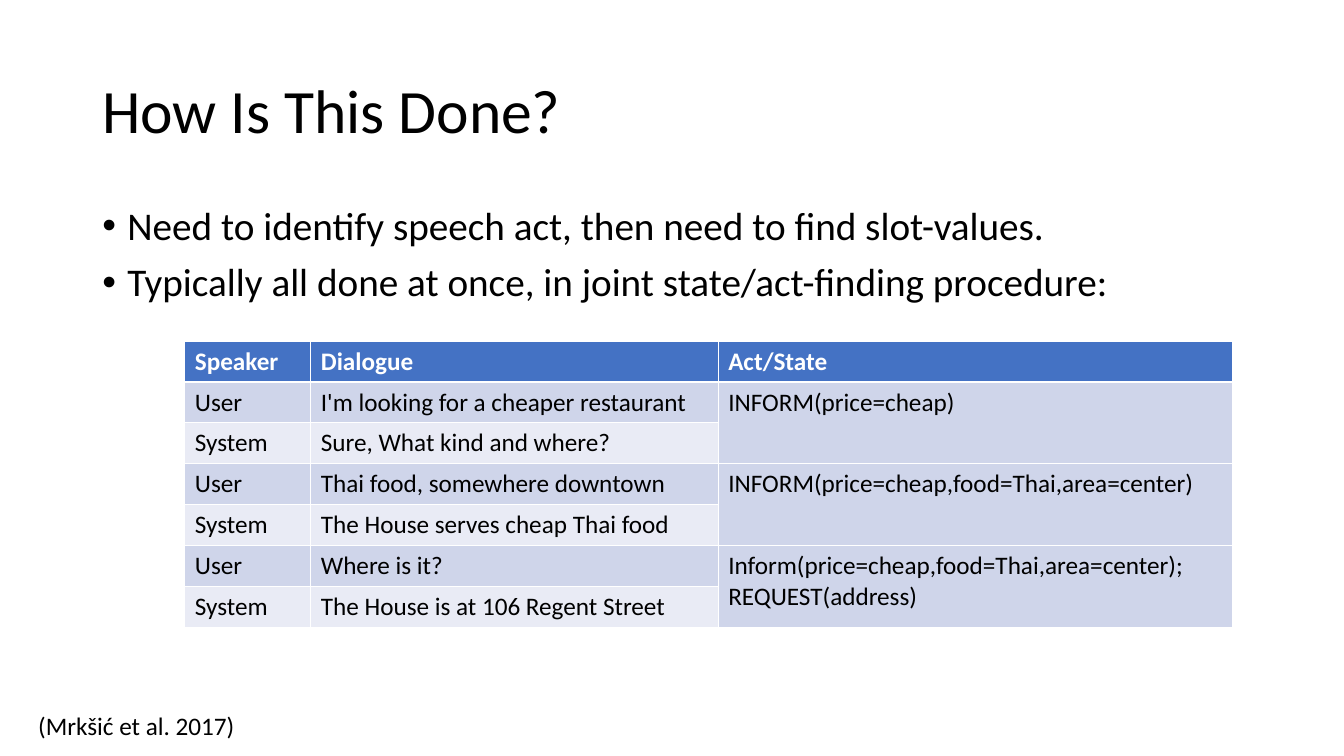
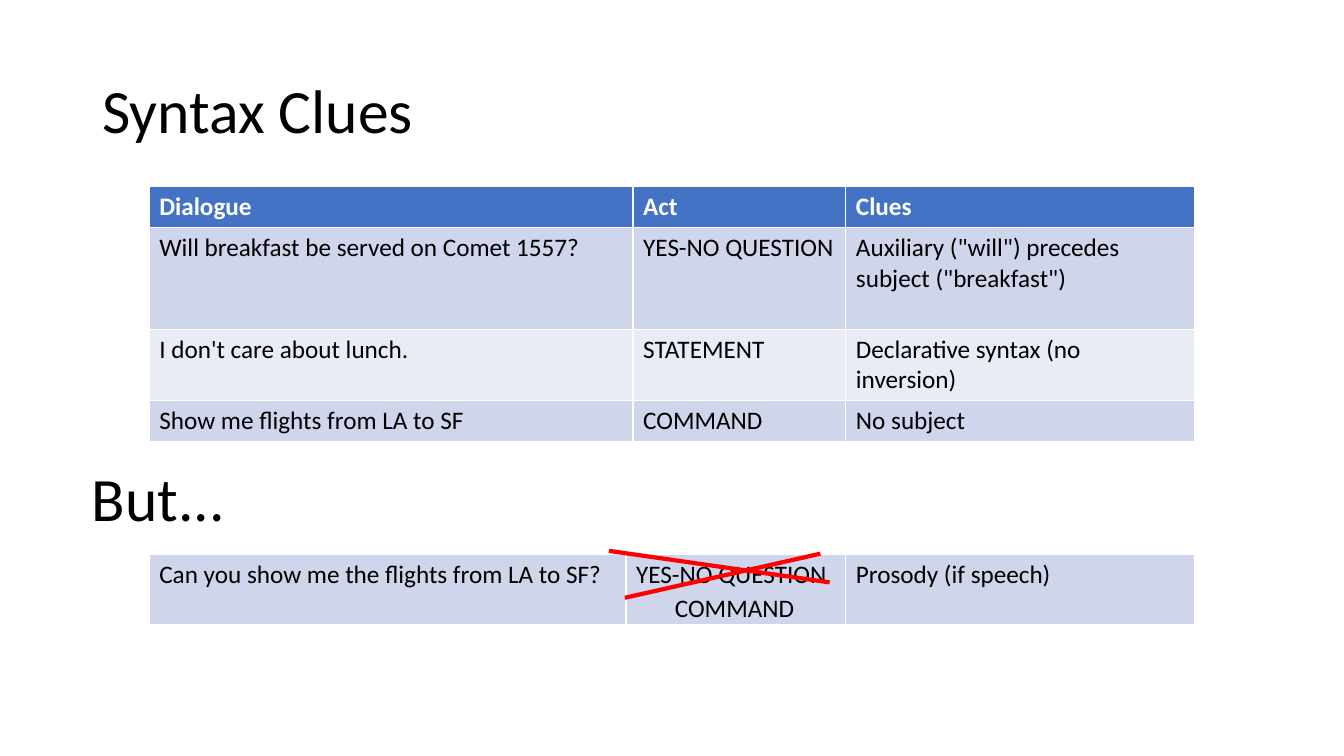
from lxml import etree
from pptx import Presentation
from pptx.dml.color import RGBColor
from pptx.enum.shapes import MSO_CONNECTOR
from pptx.enum.text import MSO_ANCHOR
from pptx.oxml.ns import qn
from pptx.util import Pt

STRAIGHT = MSO_CONNECTOR.STRAIGHT
TOP, MIDDLE = MSO_ANCHOR.TOP, MSO_ANCHOR.MIDDLE

FONT = "Calibri"
BLACK, WHITE, RED = "000000", "FFFFFF", "FF0000"
HEADER_FILL = "4472C4"
BAND_FILLS = ("CFD5EA", "E9EBF5")

TITLE_SIZE, BODY_SIZE, SMALL_SIZE = 44, 28, 18
TITLE_BOX = (66, 28.8, 828, 104.4)
ROW_HEIGHT = 29.25
BULLET_INDENT = 18


def color(hex_string):
    return RGBColor.from_string(hex_string)


def style_font(paragraph, size, hex_string=BLACK, bold=False):
    font = paragraph.font
    font.name, font.size, font.bold = FONT, Pt(size), bold
    font.color.rgb = color(hex_string)


def add_bullet(paragraph):
    properties = paragraph._p.get_or_add_pPr()
    properties.set("marL", str(Pt(BULLET_INDENT)))
    properties.set("indent", str(-Pt(BULLET_INDENT)))
    etree.SubElement(properties, qn("a:buFont"), typeface="Arial")
    etree.SubElement(properties, qn("a:buChar"), char="•")


def add_text(slide, box, lines, size, anchor=TOP, wrap=True, spacing=1.0, bulleted=False):
    frame = slide.shapes.add_textbox(*map(Pt, box)).text_frame
    frame.word_wrap = wrap
    frame.vertical_anchor = anchor
    for index, line in enumerate(lines):
        paragraph = frame.add_paragraph() if index else frame.paragraphs[0]
        paragraph.text = line
        paragraph.line_spacing = spacing
        if index:
            paragraph.space_before = Pt(10)
        if bulleted:
            add_bullet(paragraph)
        style_font(paragraph, size)


def add_title(slide, text, box=TITLE_BOX):
    add_text(slide, box, [text], TITLE_SIZE, anchor=MIDDLE, spacing=0.9)


def add_label(slide, box, text):
    add_text(slide, box, [text], SMALL_SIZE, wrap=False)


def add_table(slide, left, top, widths, heights, rows, has_header=True):
    """Add a banded table; a None cell is merged into the cell above it."""
    table = slide.shapes.add_table(
        len(rows), len(widths), Pt(left), Pt(top), Pt(sum(widths)), Pt(sum(heights))
    ).table
    table.first_row = has_header
    for column, width in zip(table.columns, widths):
        column.width = Pt(width)
    for row_index, (values, height) in enumerate(zip(rows, heights)):
        table.rows[row_index].height = Pt(height)
        is_header = has_header and row_index == 0
        band = BAND_FILLS[(row_index - has_header) % 2]
        for column_index, value in enumerate(values):
            cell = table.cell(row_index, column_index)
            cell.fill.solid()
            cell.fill.fore_color.rgb = color(HEADER_FILL if is_header else band)
            if value is None:
                table.cell(row_index - 1, column_index).merge(cell)
                continue
            cell.text = value
            style_font(cell.text_frame.paragraphs[0], SMALL_SIZE,
                       WHITE if is_header else BLACK, bold=is_header)


def add_strike(slide, start, end):
    line = slide.shapes.add_connector(STRAIGHT, *map(Pt, start + end))
    line.line.color.rgb = color(RED)
    line.line.width = Pt(3)
    etree.SubElement(line._element.spPr, qn("a:effectLst"))


def build_method_slide(slide):
    add_title(slide, "How Is This Done?")
    add_text(slide, (66, 144, 828, 126), [
        "Need to identify speech act, then need to find slot-values.",
        "Typically all done at once, in joint state/act-finding procedure:",
    ], BODY_SIZE, spacing=0.9, bulleted=True)
    exchanges = [
        ("I'm looking for a cheaper restaurant", "Sure, What kind and where?",
         "INFORM(price=cheap)"),
        ("Thai food, somewhere downtown", "The House serves cheap Thai food",
         "INFORM(price=cheap,food=Thai,area=center)"),
        ("Where is it?", "The House is at 106 Regent Street",
         "Inform(price=cheap,food=Thai,area=center); REQUEST(address)"),
    ]
    rows = [("Speaker", "Dialogue", "Act/State")]
    for question, answer, state in exchanges:
        rows += [("User", question, state), ("System", answer, None)]
    add_table(slide, 132, 243.6, (90, 291, 367.5), [ROW_HEIGHT] * len(rows), rows)
    add_label(slide, (20.2, 503.5, 156.2, 29), "(Mrkšić et al. 2017)")


def build_syntax_slide(slide):
    table_left = 106.6
    add_title(slide, "Syntax Clues")
    add_table(slide, table_left, 133.2, (345.6, 152, 249), (ROW_HEIGHT, 72.7, 51, ROW_HEIGHT), [
        ("Dialogue", "Act", "Clues"),
        ("Will breakfast be served on Comet 1557?", "YES-NO QUESTION",
         'Auxiliary ("will") precedes subject ("breakfast")'),
        ("I don't care about lunch.", "STATEMENT", "Declarative syntax (no inversion)"),
        ("Show me flights from LA to SF", "COMMAND", "No subject"),
    ])
    add_title(slide, "But...", (58.5, 306, 828, 104.4))
    add_table(slide, table_left, 396, (340.6, 157, 249), [50.4], [
        ("Can you show me the flights from LA to SF?", "YES-NO QUESTION",
         "Prosody (if speech)"),
    ], has_header=False)
    add_label(slide, (475, 419.8, 100.8, 29), "COMMAND")
    add_strike(slide, (435, 393.5), (592.6, 416))
    add_strike(slide, (446.4, 427), (586, 395.5))


def main():
    presentation = Presentation()
    presentation.slide_width, presentation.slide_height = Pt(960), Pt(540)
    blank_layout = presentation.slide_layouts[6]
    for build in (build_method_slide, build_syntax_slide):
        build(presentation.slides.add_slide(blank_layout))
    presentation.save("out.pptx")


if __name__ == "__main__":
    main()
